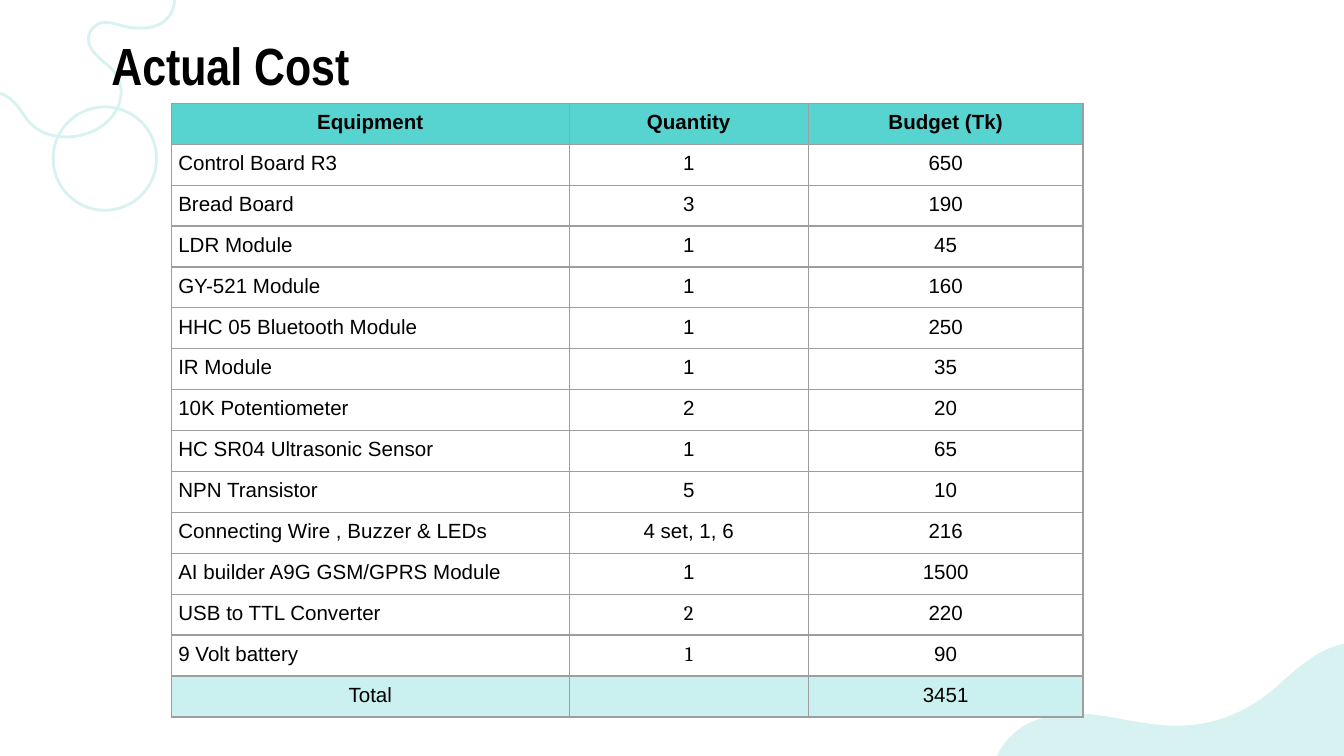
from lxml import etree
from pptx import Presentation
from pptx import util as u
from pptx.dml import color
from pptx.enum import shapes, text
from pptx.oxml import ns

MINT, TEAL, PALE_TEAL, GREY = "D7F2F0", "57D4D0", "CAF1F0", "9E9E9E"
CENTER, LEFT = text.PP_ALIGN.CENTER, text.PP_ALIGN.LEFT

# Points of each outline: a pair is a corner reached by a straight line,
# six numbers are two control points and the end point of a curve.
SQUIGGLE = [
    (-2, -2), (-2, 49.7),
    (2.9, 50.4, 6.5, 53.3, 9.4, 56.9), (12.2, 60.5, 14.4, 64.8, 18, 67.7),
    (23, 72, 29.5, 73.4, 35.3, 73.4), (38.2, 73.4, 41, 73.1, 43.9, 72.4),
    (51.1, 70.6, 58.3, 66.2, 61.9, 59.8), (65.5, 54, 66.2, 45.4, 61.9, 39.6),
    (59, 35.3, 54.7, 33.1, 51.8, 29.5), (47.5, 25.9, 45.4, 19.4, 49.7, 15.1),
    (51.1, 13.7, 52.6, 12.7, 54.7, 12.2), (55.4, 12.2, 56.2, 12.2, 57.6, 12.2),
    (61.2, 12.2, 64.1, 13.7, 67.7, 14.4), (70.6, 15.1, 73.4, 15.1, 75.6, 15.1),
    (81.4, 15.1, 86.4, 13.7, 90, 9.4), (92.9, 6.5, 93.6, 2.2, 93.6, -2),
]
HILL = [
    (720, 344.9),
    (713.5, 346.3, 707, 349.2, 701.3, 353.5), (692.6, 359.3, 685.4, 367.2, 676.8, 373.7),
    (663.8, 383, 648, 388.8, 631.4, 388.8), (631.4, 388.8, 630.7, 388.8, 630, 388.8),
    (617.8, 388.8, 604.8, 385.9, 592.6, 383.8), (586.8, 383, 581, 382.3, 576, 382.3),
    (568.1, 382.3, 560.2, 383.8, 553, 386.6), (545, 390.2, 537.8, 396.7, 534.2, 405),
    (720, 405), (720, 344.9),
]

COSTS = [
    ("Equipment", "Quantity", "Budget (Tk)"),
    ("Control Board R3", "1", "650"),
    ("Bread Board", "3", "190"),
    ("LDR Module", "1", "45"),
    ("GY-521 Module", "1", "160"),
    ("HHC 05 Bluetooth Module", "1", "250"),
    ("IR Module", "1", "35"),
    ("10K Potentiometer", "2", "20"),
    ("HC SR04 Ultrasonic Sensor", "1", "65"),
    ("NPN Transistor", "5", "10"),
    ("Connecting Wire , Buzzer & LEDs", "4 set, 1, 6", "216"),
    ("AI builder A9G GSM/GPRS Module", "1", "1500"),
    ("USB to TTL Converter", "2", "220"),
    ("9 Volt battery", "1", "90"),
    ("Total", "", "3451"),
]
SERIF_CELLS = {(12, 1), (13, 1)}


def rgb(value):
    return color.RGBColor.from_string(value)


def bend(shape, segments):
    """Turn the straight lines of a freeform into curves where control points are given."""
    lines = list(shape._element.iter(ns.qn("a:lnTo")))
    for line, segment in zip(lines, segments):
        if len(segment) == 2:
            continue
        line.tag = ns.qn("a:cubicBezTo")
        end = line[0]
        for x, y in (segment[0:2], segment[2:4]):
            control = etree.Element(ns.qn("a:pt"), x=str(u.Pt(x) - shape.left),
                                    y=str(u.Pt(y) - shape.top))
            end.addprevious(control)


def write(frame, content, size=11, font="Arial", bold=False, align=LEFT, spacing=None):
    paragraph = frame.paragraphs[0]
    paragraph.alignment = align
    paragraph.line_spacing = spacing
    if not content:
        # The size of an empty paragraph keeps its row from growing.
        etree.SubElement(paragraph._p, ns.qn("a:endParaRPr"), sz=str(size * 100))
        return
    run = paragraph.add_run()
    run.text = content
    run.font.size = u.Pt(size)
    run.font.name = font
    run.font.bold = bold
    run.font.color.rgb = rgb("000000")


def add_borders(cell, line_color, width):
    properties = cell._tc.get_or_add_tcPr()
    for side in ("lnL", "lnR", "lnT", "lnB"):
        line = etree.SubElement(properties, ns.qn(f"a:{side}"), w=str(u.Pt(width)))
        fill = etree.SubElement(line, ns.qn("a:solidFill"))
        etree.SubElement(fill, ns.qn("a:srgbClr"), val=line_color)


class CostSlide:
    def __init__(self, presentation):
        self.slide = presentation.slides.add_slide(presentation.slide_layouts[5])
        self.shapes = self.slide.shapes

    def paint(self, shape, fill=None, line=None):
        shape.shadow.inherit = False
        if fill:
            shape.fill.solid()
            shape.fill.fore_color.rgb = rgb(fill)
        else:
            shape.fill.background()
        if line:
            shape.line.color.rgb = rgb(line)
            shape.line.width = u.Pt(1.5)
        else:
            shape.line.fill.background()

    def outline(self, segments, **colors):
        corners = [(u.Pt(segment[-2]), u.Pt(segment[-1])) for segment in segments]
        builder = self.shapes.build_freeform(*corners[0])
        builder.add_line_segments(corners[1:], close=True)
        shape = builder.convert_to_shape()
        bend(shape, segments[1:])
        self.paint(shape, **colors)

    def circle(self, left, top, diameter, **colors):
        box = [u.Pt(value) for value in (left, top, diameter, diameter)]
        self.paint(self.shapes.add_shape(shapes.MSO_SHAPE.OVAL, *box), **colors)

    def title(self, content, left, top, width, height):
        title = self.shapes.title
        title.left, title.top = u.Pt(left), u.Pt(top)
        title.width, title.height = u.Pt(width), u.Pt(height)
        frame = title.text_frame
        frame.margin_left = frame.margin_right = u.Pt(7.2)
        frame.margin_top = frame.margin_bottom = u.Pt(7.2)
        frame.vertical_anchor = text.MSO_ANCHOR.TOP
        frame.auto_size = text.MSO_AUTO_SIZE.NONE
        write(frame, content, size=28, font="Arial Narrow", bold=True)
        self.shapes._spTree.append(title._element)  # in front of the decoration

    def table(self, rows, left, top, widths, row_height):
        table = self.shapes.add_table(
            len(rows), len(widths), u.Pt(left), u.Pt(top),
            u.Pt(sum(widths)), u.Pt(row_height * len(rows))).table
        table.first_row = table.horz_banding = False
        for column, width in zip(table.columns, widths):
            column.width = u.Pt(width)
        last = len(rows) - 1
        row_fills = {0: TEAL, last: PALE_TEAL}
        for r, values in enumerate(rows):
            table.rows[r].height = u.Pt(row_height)
            for c, value in enumerate(values):
                cell = table.cell(r, c)
                cell.margin_left = cell.margin_right = u.Pt(3.6)
                cell.margin_top = cell.margin_bottom = u.Pt(3.6)
                add_borders(cell, GREY, 0.75)
                if r in row_fills:
                    cell.fill.solid()
                    cell.fill.fore_color.rgb = rgb(row_fills[r])
                else:
                    cell.fill.background()
                write(cell.text_frame, value, bold=r == 0, spacing=1.04,
                      font="Cambria" if (r, c) in SERIF_CELLS else "Arial",
                      align=CENTER if c or r in row_fills else LEFT)


def main():
    presentation = Presentation()
    presentation.slide_width = u.Pt(720)
    presentation.slide_height = u.Pt(405)
    page = CostSlide(presentation)
    page.outline(SQUIGGLE, line=MINT)
    page.circle(28.5, 57.3, 55.4, line=MINT)
    page.outline(HILL, fill=MINT)
    page.title("Actual Cost", 52.5, 10.4, 608, 45.4)
    page.table(COSTS, 91.9, 55.4, [213, 128.2, 147.1], 21.94)
    presentation.save("out.pptx")


if __name__ == "__main__":
    main()
